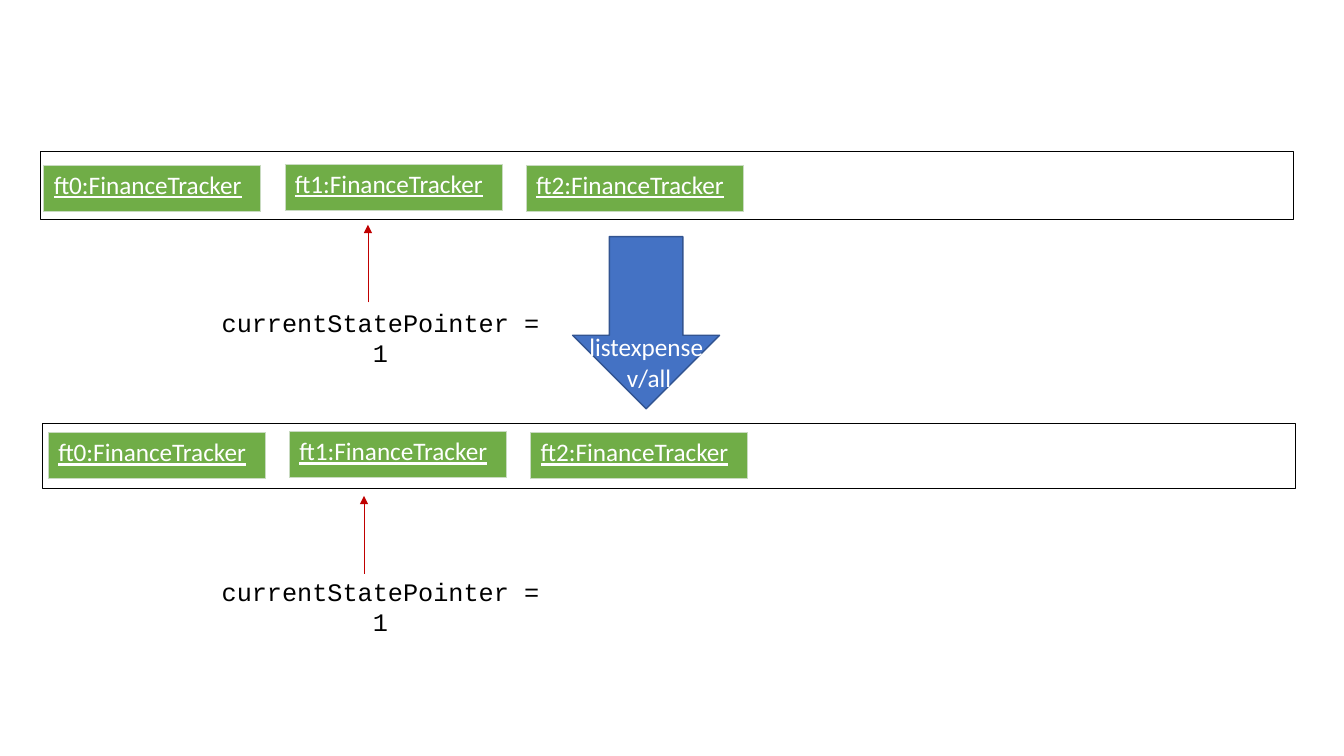
import pptx
import pptx.util
import pptx.dml.color
import pptx.enum.shapes
import pptx.enum.text
import pptx.oxml
import pptx.oxml.ns

Pt = pptx.util.Pt
RGBColor = pptx.dml.color.RGBColor
SHAPE = pptx.enum.shapes.MSO_SHAPE
ALIGN = pptx.enum.text.PP_ALIGN
FIT = pptx.enum.text.MSO_AUTO_SIZE

BLUE = RGBColor(0x44, 0x72, 0xC4)
NAVY = RGBColor(0x32, 0x54, 0x91)
GREEN = RGBColor(0x70, 0xAD, 0x47)
PALE = RGBColor(0xC9, 0xDB, 0xC1)
RED = RGBColor(0xC0, 0x00, 0x00)
BLACK = RGBColor(0, 0, 0)
WHITE = RGBColor(0xFF, 0xFF, 0xFF)

STATES = ["ft0:FinanceTracker", "ft1:FinanceTracker", "ft2:FinanceTracker"]
STEP = 172.3


def style(frame, font, color, align=None, under=None):
    for para in frame.paragraphs:
        para.alignment = align
        for run in para.runs:
            run.font.name = font
            run.font.size = Pt(18)
            run.font.color.rgb = color
            run.font.underline = under


def add_shape(slide, kind, box, line, fill=None):
    shape = slide.shapes.add_shape(kind, *map(Pt, box))
    shape.shadow.inherit = False
    if fill is None:
        shape.fill.background()
    else:
        shape.fill.solid()
        shape.fill.fore_color.rgb = fill
    shape.line.color.rgb = line
    shape.line.width = Pt(1)


def add_label(slide, box, text, font, color, wrap=True):
    frame = slide.shapes.add_textbox(*map(Pt, box)).text_frame
    frame.word_wrap = wrap
    frame.auto_size = FIT.SHAPE_TO_FIT_TEXT
    frame.text = text
    style(frame, font, color, ALIGN.CENTER)


def add_arrow(slide, x, start, end):
    kind = pptx.enum.shapes.MSO_CONNECTOR.STRAIGHT
    arrow = slide.shapes.add_connector(kind, Pt(x), Pt(start), Pt(x), Pt(end))
    arrow.line.color.rgb = RED
    arrow.line.width = Pt(0.5)
    tail = pptx.oxml.ns.qn("a:tailEnd")
    arrow.line._get_or_add_ln().makeelement(tail)
    head = pptx.oxml.parse_xml(
        f'<a:tailEnd {pptx.oxml.ns.nsdecls("a")} type="triangle"/>')
    arrow.line._get_or_add_ln().append(head)
    flat = pptx.oxml.parse_xml(f'<a:effectLst {pptx.oxml.ns.nsdecls("a")}/>')
    arrow._element.spPr.append(flat)


def add_edges(cell):
    props = cell._tc.get_or_add_tcPr()
    for spot, side in enumerate(["lnL", "lnR", "lnT", "lnB"]):
        edge = pptx.oxml.parse_xml(
            f'<a:{side} {pptx.oxml.ns.nsdecls("a")} w="{Pt(0.5)}">'
            f'<a:solidFill><a:srgbClr val="{PALE}"/></a:solidFill></a:{side}>')
        props.insert(spot, edge)


def add_state(slide, left, top, text):
    box = map(Pt, (left, top, 155, 33))
    table = slide.shapes.add_table(1, 1, *box).table
    cell = table.cell(0, 0)
    cell.fill.solid()
    cell.fill.fore_color.rgb = GREEN
    add_edges(cell)
    cell.text_frame.text = text
    style(cell.text_frame, "Calibri", WHITE, under=True)
    for run in cell.text_frame.paragraphs[0].runs:
        run.font.bold = False


def add_list(slide, bar, left, top, point, start, note):
    add_shape(slide, SHAPE.RECTANGLE, bar, BLACK)
    for index, text in enumerate(STATES):
        lift = 0.7 * (index % 2)
        add_state(slide, left + index * STEP, top - lift, text)
    add_arrow(slide, point, start, start - 55.5)
    add_label(slide, (145.5, note, 252.5, 29), "currentStatePointer = 1",
              "Courier New", BLACK)


def main():
    deck = pptx.Presentation()
    deck.slide_width = Pt(960)
    deck.slide_height = Pt(540)
    slide = deck.slides.add_slide(deck.slide_layouts[6])
    add_shape(slide, SHAPE.DOWN_ARROW, (409, 169, 105, 123), NAVY, BLUE)
    add_list(slide, (28.8, 108, 895, 49), 31.2, 118, 262.8, 216, 216)
    add_list(slide, (30.3, 302.3, 895, 46.8), 34.4, 309, 260, 409.7, 408.2)
    add_label(slide, (413.3, 233.3, 100.8, 72.7), "listexpense \nv/all",
              "Calibri", WHITE, wrap=False)
    deck.save("out.pptx")


main()
